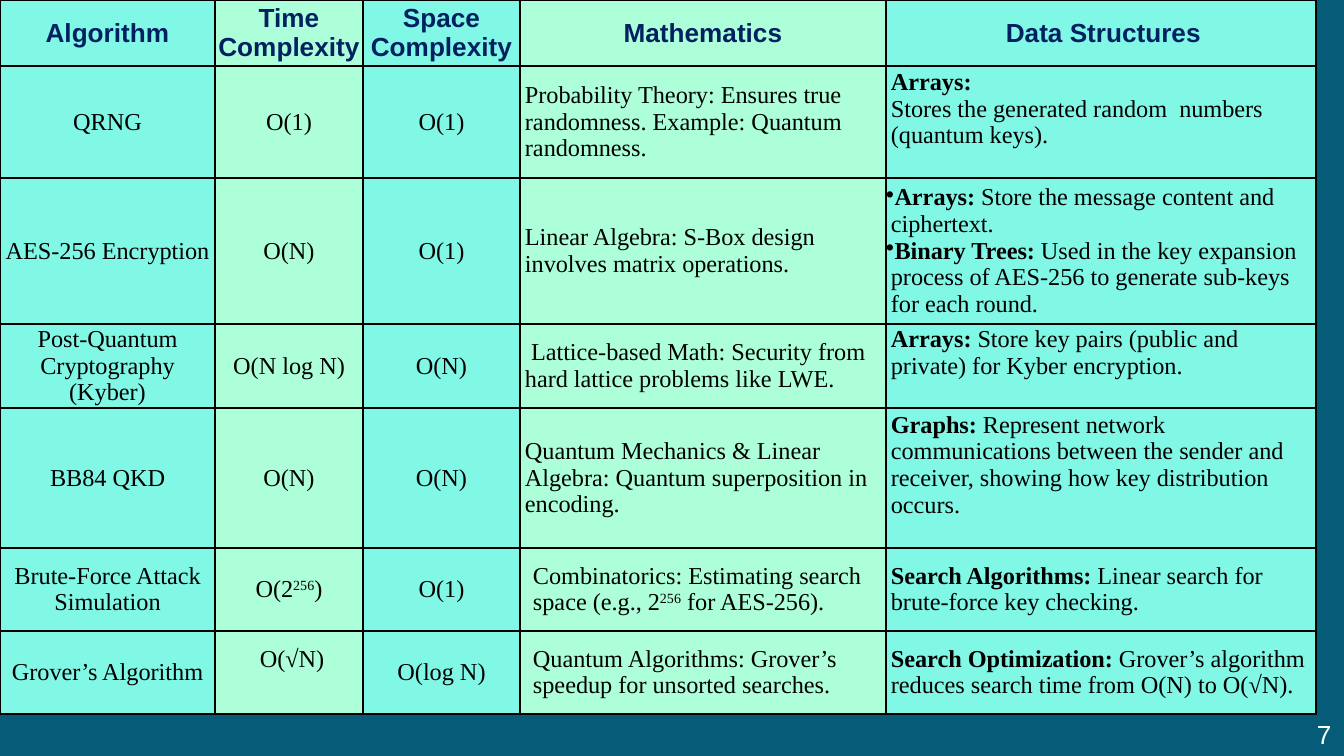
"""Build a slide with a table that compares the algorithms of a quantum-safe system."""
from dataclasses import dataclass
from typing import NamedTuple

import lxml.etree
import pptx
import pptx.dml.color
import pptx.enum.text
import pptx.oxml.ns
import pptx.util

SCALE = 9144000 / 1344
ALIGN = pptx.enum.text.PP_ALIGN
MIDDLE = pptx.enum.text.MSO_ANCHOR.MIDDLE


@dataclass(frozen=True)
class Theme:
    """Colours, fonts and type sizes of the slide."""
    back: str = "055B78"
    fills: tuple[str, str] = ("81F7E6", "ACFFD9")
    head: str = "002060"
    body: str = "000000"
    number: str = "FFFFFF"
    border: str = "000000"
    border_pt: int = 1
    head_font: str = "Arial"
    body_font: str = "Times New Roman"
    head_pt: int = 14
    body_pt: int = 13


class Style(NamedTuple):
    """Font settings of a run."""
    font: str
    pt: int
    color: str
    bold: bool = False


class Run(NamedTuple):
    """A piece of text that may be bold or superscript."""
    text: str
    bold: bool = False
    sup: bool = False


@dataclass(frozen=True)
class Cell:
    """Paragraphs of a table cell with their indent and bottom inset in px."""
    paras: tuple[tuple[Run, ...], ...]
    indent: int = 0
    bottom: int = 0
    bullet: bool = False


THEME = Theme()
HEAD = Style(THEME.head_font, THEME.head_pt, THEME.head, True)
BODY = Style(THEME.body_font, THEME.body_pt, THEME.body)
NUMBER = Style(THEME.head_font, THEME.head_pt, THEME.number)
INDENT, DEEP_INDENT, HANGING, RAISE = 5, 13, -26, 26
COLS = (215, 148, 157, 366, 430)
ROWS = (66, 112, 146, 84, 140, 83, 83)
CENTRED_COLS = 3


def px(n: int) -> pptx.util.Emu:
    """Turn px into EMU."""
    return pptx.util.Emu(round(n * SCALE))


def plain(text: str, indent: int = 0, bottom: int = 0) -> Cell:
    """Make a cell of one plain run."""
    return Cell(((Run(text),),), indent, bottom)


def power(before: str, after: str, indent: int = 0) -> Cell:
    """Make a cell with the exponent 256 between two texts."""
    return Cell(((Run(before), Run("256", sup=True), Run(after)),), indent)


def term(label: str, text: str) -> tuple[Run, ...]:
    """Make a paragraph that starts with a bold label."""
    return Run(label, bold=True), Run(" " + text)


def data(*paras: tuple[Run, ...], bottom: int = 0, bullet: bool = False) -> Cell:
    """Make a cell of the data structures column."""
    return Cell(paras, INDENT, bottom, bullet)


TABLE = (
    (plain("Algorithm"), plain("Time Complexity"), plain("Space Complexity"),
     plain("Mathematics"), plain("Data Structures", INDENT)),
    (plain("QRNG"), plain("O(1)"), plain("O(1)"),
     plain("Probability Theory: Ensures true randomness. Example: Quantum randomness.", INDENT),
     data((Run("Arrays:", bold=True),),
          (Run("Stores the generated random  numbers (quantum keys)."),), bottom=RAISE)),
    (plain("AES-256 Encryption"), plain("O(N)"), plain("O(1)"),
     plain("Linear Algebra: S-Box design involves matrix operations.", INDENT),
     data(term("Arrays:", "Store the message content and ciphertext."),
          term("Binary Trees:", "Used in the key expansion process of AES-256 "
               "to generate sub-keys for each round."), bullet=True)),
    (plain("Post-Quantum Cryptography (Kyber)"), plain("O(N log N)"), plain("O(N)"),
     plain(" Lattice-based Math: Security from hard lattice problems like LWE.", INDENT),
     data(term("Arrays:", "Store key pairs (public and private) for Kyber encryption."),
          bottom=RAISE)),
    (plain("BB84 QKD"), plain("O(N)"), plain("O(N)"),
     plain("Quantum Mechanics & Linear Algebra: Quantum superposition in encoding.", INDENT),
     data(term("Graphs:", "Represent network communications between the sender and "
               "receiver, showing how key distribution occurs."), bottom=RAISE)),
    (plain("Brute-Force Attack Simulation"), power("O(2", ")"), plain("O(1)"),
     power("Combinatorics: Estimating search space (e.g., 2", " for AES-256).", DEEP_INDENT),
     data(term("Search Algorithms:", "Linear search for brute-force key checking."))),
    (plain("Grover’s Algorithm"), plain(" O(√N)", bottom=RAISE), plain("O(log N)"),
     plain("Quantum Algorithms: Grover’s speedup for unsorted searches.", DEEP_INDENT),
     data(term("Search Optimization:",
               "Grover’s algorithm reduces search time from O(N) to O(√N)."))),
)


def rgb(color: str) -> pptx.dml.color.RGBColor:
    """Turn a hex string into a colour."""
    return pptx.dml.color.RGBColor.from_string(color)


def add_xml(parent, tag: str, **attrs: str):
    """Append a DrawingML element."""
    return lxml.etree.SubElement(parent, pptx.oxml.ns.qn(tag), **attrs)


def add_color(parent, tag: str, color: str) -> None:
    """Append an element that holds an RGB colour."""
    add_xml(add_xml(parent, tag), "a:srgbClr", val=color)


def add_run(p, run: Run, style: Style) -> None:
    """Add a formatted run to a paragraph."""
    r = p.add_run()
    r.text = run.text
    r.font.name = style.font
    r.font.size = pptx.util.Pt(style.pt)
    r.font.bold = style.bold or run.bold
    r.font.color.rgb = rgb(style.color)
    if run.sup:
        r._r.get_or_add_rPr().set("baseline", "30000")


def clear_margins(box) -> None:
    """Remove the insets of a cell or text frame."""
    box.margin_left = box.margin_right = box.margin_top = box.margin_bottom = 0


def draw_cell(tc, cell: Cell, style: Style, align: ALIGN, fill: str) -> None:
    """Fill, frame and write one table cell."""
    clear_margins(tc)
    tc.margin_bottom = px(cell.bottom)
    tc.vertical_anchor = MIDDLE
    tcPr = tc._tc.get_or_add_tcPr()
    for side in "LRTB":
        ln = add_xml(tcPr, f"a:ln{side}", w=str(pptx.util.Pt(THEME.border_pt)))
        add_color(ln, "a:solidFill", THEME.border)
    tc.fill.solid()
    tc.fill.fore_color.rgb = rgb(fill)
    tf = tc.text_frame
    for i, runs in enumerate(cell.paras):
        p = tf.add_paragraph() if i else tf.paragraphs[0]
        p.alignment = align
        pPr = p._p.get_or_add_pPr()
        pPr.set("marL", str(px(cell.indent)))
        pPr.set("indent", str(px(HANGING if cell.bullet else 0)))
        if cell.bullet:
            add_color(pPr, "a:buClr", THEME.body)
            add_xml(pPr, "a:buChar", char="•")
        for run in runs:
            add_run(p, run, style)


def draw_table(s) -> None:
    """Draw the comparison table."""
    sp = s.shapes.add_table(len(ROWS), len(COLS), 0, 0, px(sum(COLS)), px(sum(ROWS)))
    table = sp.table
    table.first_row = table.horz_banding = False
    for col, width in zip(table.columns, COLS):
        col.width = px(width)
    for i, (row, height) in enumerate(zip(table.rows, ROWS)):
        row.height = px(height)
        for j, cell in enumerate(TABLE[i]):
            align = ALIGN.CENTER if i == 0 or j < CENTRED_COLS else ALIGN.LEFT
            draw_cell(table.cell(i, j), cell, BODY if i else HEAD, align, THEME.fills[j % 2])


def draw_number(s) -> None:
    """Draw the slide number."""
    tf = s.shapes.add_textbox(px(1317), px(712), px(27), px(44)).text_frame
    tf.word_wrap = True
    tf.vertical_anchor = MIDDLE
    clear_margins(tf)
    add_run(tf.paragraphs[0], Run("7"), NUMBER)


def main() -> None:
    """Build and save the presentation."""
    prs = pptx.Presentation()
    prs.slide_width, prs.slide_height = px(1344), px(756)
    s = prs.slides.add_slide(prs.slide_layouts[6])
    s.background.fill.solid()
    s.background.fill.fore_color.rgb = rgb(THEME.back)
    draw_table(s)
    draw_number(s)
    prs.save("out.pptx")


if __name__ == "__main__":
    main()
